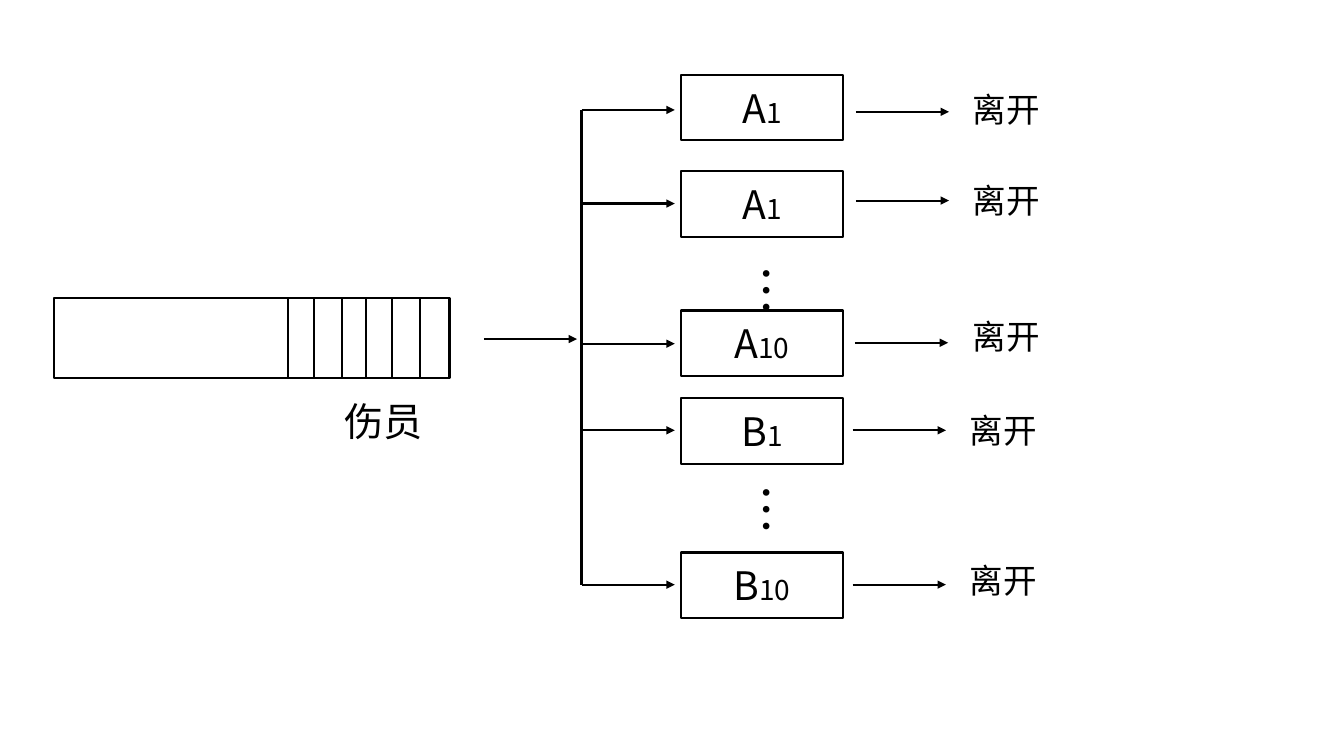
from dataclasses import dataclass
from lxml import etree
from pptx import Presentation
from pptx.dml.color import RGBColor
from pptx.enum.shapes import MSO_CONNECTOR as Connector, MSO_SHAPE as Preset
from pptx.enum.text import MSO_ANCHOR as Anchor, MSO_AUTO_SIZE as AutoSize, PP_ALIGN as Align
from pptx.oxml.ns import qn
from pptx.util import Pt


@dataclass(frozen=True)
class Theme:
    ink: RGBColor = RGBColor(0, 0, 0)
    paper: RGBColor = RGBColor(255, 255, 255)
    font: str = "Noto Sans CJK SC"
    line: float = 1.5
    dots: int = 36
    title: int = 28
    label: int = 24
    index: int = 20


theme = Theme()
presentation = Presentation()
presentation.slide_width, presentation.slide_height = Pt(960), Pt(540)
slide = presentation.slides.add_slide(presentation.slide_layouts[6])
shapes = slide.shapes


def add_line(x1, y1, x2, y2, arrow=False):
    connector = shapes.add_connector(Connector.STRAIGHT, Pt(x1), Pt(y1), Pt(x2), Pt(y2))
    connector.line.color.rgb = theme.ink
    connector.line.width = Pt(theme.line)
    properties = connector._element.spPr
    if arrow:
        etree.SubElement(properties.find(qn("a:ln")), qn("a:tailEnd"), type="triangle")
    etree.SubElement(properties, qn("a:effectLst"))


def add_text(shape, *runs):
    paragraph = shape.text_frame.paragraphs[0]
    for text, size in runs:
        run = paragraph.add_run()
        run.text = text
        run.font.size = Pt(size)
        run.font.name = theme.font
        run.font.color.rgb = theme.ink
        etree.SubElement(run._r.get_or_add_rPr(), qn("a:ea"), typeface=theme.font)
    return paragraph


# Servers: letter, index, box top, branch y, exit x, exit y, label left, label top
servers = [
    ("A", "1", 53.3, 78.5, 611.3, 79.9, 687.6, 59.8),
    ("A", "1", 122.4, 145.4, 611.3, 143.3, 687.6, 125.3),
    ("A", "10", 221.8, 245.5, 610.6, 244.8, 687.6, 221.8),
    ("B", "1", 284.4, 307.4, 609.1, 307.4, 685.4, 289.4),
    ("B", "10", 394.6, 417.6, 609.1, 417.6, 685.4, 396.7),
]
trunk_x, arrow_length = 415.4, 66.6
queue_left, queue_top, queue_width, queue_height = 38.9, 213.1, 282.2, 56.9

# Queue and server boxes
boxes = [(queue_left, queue_top, queue_width, queue_height, [])]
for letter, index, top, *_ in servers:
    boxes.append((486.7, top, 115.2, 46.8, [(letter, theme.title), (index, theme.index)]))
for left, top, width, height, runs in boxes:
    box = shapes.add_shape(Preset.RECTANGLE, Pt(left), Pt(top), Pt(width), Pt(height))
    box.shadow.inherit = False
    box.fill.solid()
    box.fill.fore_color.rgb = theme.paper
    box.line.color.rgb = theme.ink
    box.line.width = Pt(theme.line)
    if runs:
        box.text_frame.vertical_anchor = Anchor.MIDDLE
        add_text(box, *runs).alignment = Align.CENTER

# Waiting places in the queue
for x in (205.9, 224.6, 244.1, 261.4, 280.1, 300.2):
    add_line(x, queue_top, x, queue_top + queue_height)

# Queue arrow, trunk, branches and exits
add_line(345.6, 242.2, 345.6 + arrow_length, 242.2, arrow=True)
add_line(trunk_x, servers[0][3], trunk_x, servers[-1][3])
for _, _, _, branch_y, exit_x, exit_y, _, _ in servers:
    add_line(trunk_x, branch_y, trunk_x + arrow_length, branch_y, arrow=True)
    add_line(exit_x, exit_y, exit_x + arrow_length, exit_y, arrow=True)

# Vertical dots for the servers in between
for top in (182.2, 339.1):
    dots = shapes.add_textbox(Pt(515.5), Pt(top), Pt(58.3), Pt(46.8))
    dots.text_frame.word_wrap = True
    dots.text_frame.auto_size = AutoSize.SHAPE_TO_FIT_TEXT
    dots.text_frame._txBody.bodyPr.set("vert", "eaVert")
    add_text(dots, ("…", theme.dots))

# Labels
labels = [("伤员", 239, 280.1, 71.3, 41, theme.title)]
labels += [("离开", left, top, 63.4, 36, theme.label) for *_, left, top in servers]
for text, left, top, width, height, size in labels:
    label = shapes.add_textbox(Pt(left), Pt(top), Pt(width), Pt(height))
    label.text_frame.word_wrap = False
    label.text_frame.auto_size = AutoSize.SHAPE_TO_FIT_TEXT
    add_text(label, (text, size))

presentation.save("out.pptx")
